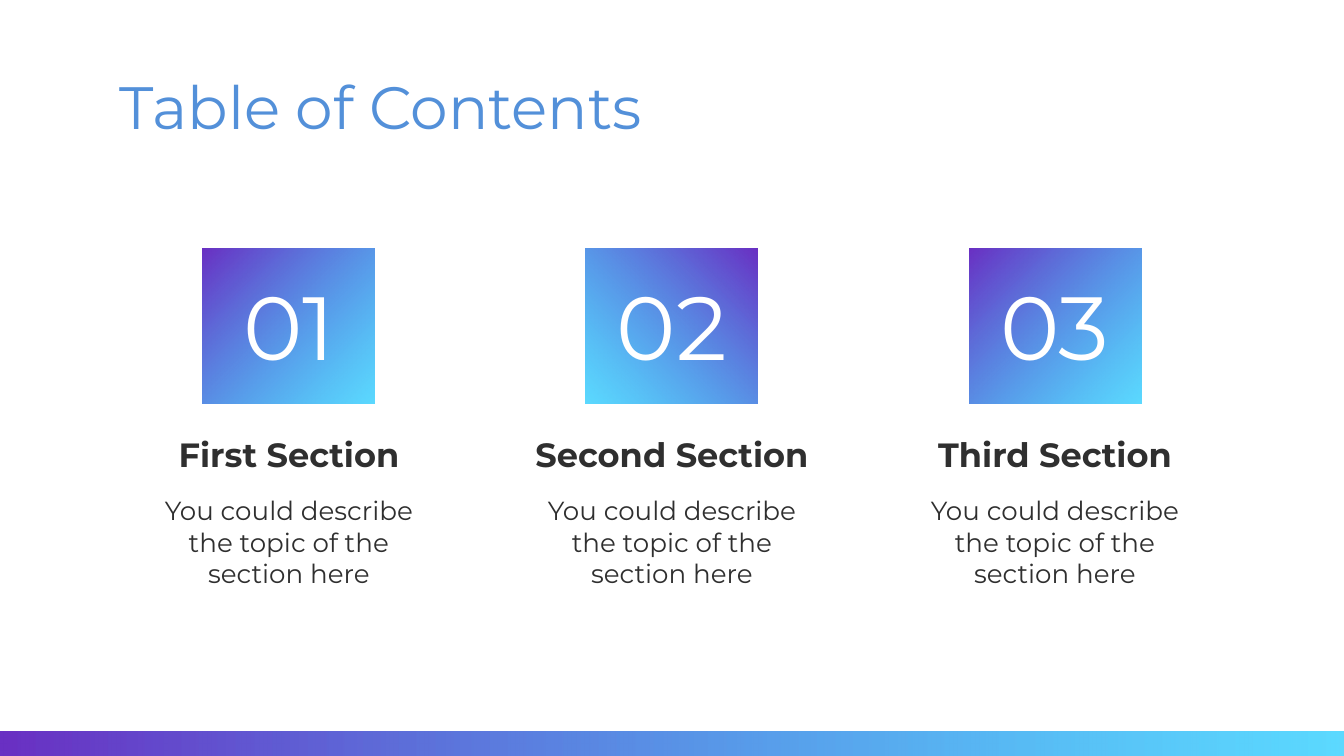
from lxml.etree import SubElement
from pptx import Presentation
from pptx.dml.color import RGBColor
from pptx.enum.shapes import MSO_SHAPE
from pptx.enum.text import MSO_ANCHOR, MSO_AUTO_SIZE, PP_ALIGN
from pptx.oxml.ns import qn
from pptx.util import Inches, Pt

THEME = {
    "font": "Montserrat",
    "gradient": ("6930C3", "00C4FF"),
    "end_alpha": "64000",
    "title": {"size": 32, "color": "5390D9", "bold": False},
    "number": {"size": 48, "color": "FFFFFF", "bold": False},
    "heading": {"size": 18, "color": "2F2F2F", "bold": True},
    "body": {"size": 14, "color": "2F2F2F", "bold": False},
}


def add_gradient_box(s, x, y, w, h, focus=None):
    """Draw a rectangle shaded left to right, or outward from the corner opposite the sides in focus."""
    sp = s.shapes.add_shape(MSO_SHAPE.RECTANGLE, Inches(x), Inches(y), Inches(w), Inches(h))
    sp.shadow.inherit = False
    sp.line.fill.background()
    sp.fill.gradient()
    sp.fill.gradient_angle = 0
    for stop, color in zip(sp.fill.gradient_stops, THEME["gradient"]):
        stop.color.rgb = RGBColor.from_string(color)
    grad = sp._element.spPr.find(qn("a:gradFill"))
    end_color = grad.findall(".//" + qn("a:srgbClr"))[-1]
    SubElement(end_color, qn("a:alpha"), val=THEME["end_alpha"])
    if focus:
        grad.remove(grad.find(qn("a:lin")))
        corner = SubElement(grad, qn("a:path"), path="circle")
        SubElement(corner, qn("a:fillToRect"), {side: "100000" for side in focus})


def set_text(sp, text, style, align=PP_ALIGN.CENTER, anchor=MSO_ANCHOR.MIDDLE):
    tf = sp.text_frame
    margins = {f"margin_{side}": Inches(0.1) for side in ("left", "top", "right", "bottom")}
    frame = {"word_wrap": True, "auto_size": MSO_AUTO_SIZE.NONE, "vertical_anchor": anchor}
    for name, value in {**margins, **frame}.items():
        setattr(tf, name, value)
    p = tf.paragraphs[0]
    p.text = text
    p.alignment = align
    look = THEME[style]
    for r in p.runs:
        for name, value in {"name": THEME["font"], "size": Pt(look["size"]), "bold": look["bold"]}.items():
            setattr(r.font, name, value)
        r.font.color.rgb = RGBColor.from_string(look["color"])


prs = Presentation()
prs.slide_width = Inches(10)
prs.slide_height = Inches(10) * 9 // 16
s = prs.slides.add_slide(prs.slide_layouts[5])

# Bottom band
add_gradient_box(s, 0, 5.44, 10, 0.19)

title = s.shapes.title
title.left, title.top, title.width, title.height = (Inches(v) for v in (0.79, 0.42, 8.43, 0.63))
set_text(title, "Table of Contents", "title", PP_ALIGN.LEFT, MSO_ANCHOR.TOP)

# Three section columns, evenly spaced about the slide's centre
DESCRIPTION = "You could describe\vthe topic of the section here"
COLUMN_STEP = 2.85
sections = [("First Section", "rb"), ("Second Section", "lb"), ("Third Section", "rb")]

for i, (heading, focus) in enumerate(sections):
    center = 5 + (i - 1) * COLUMN_STEP
    add_gradient_box(s, center - 0.64, 1.85, 1.28, 1.15, focus)
    texts = [
        (f"{i + 1:02}", "number", 2.03, 1.1, 0.77, MSO_ANCHOR.MIDDLE),
        (heading, "heading", 3.17, 2.42, 0.41, MSO_ANCHOR.MIDDLE),
        (DESCRIPTION, "body", 3.58, 2.42, 1.05, MSO_ANCHOR.TOP),
    ]
    for text, style, y, w, h, anchor in texts:
        sp = s.shapes.add_textbox(Inches(center - w / 2), Inches(y), Inches(w), Inches(h))
        set_text(sp, text, style, anchor=anchor)

prs.save("out.pptx")
